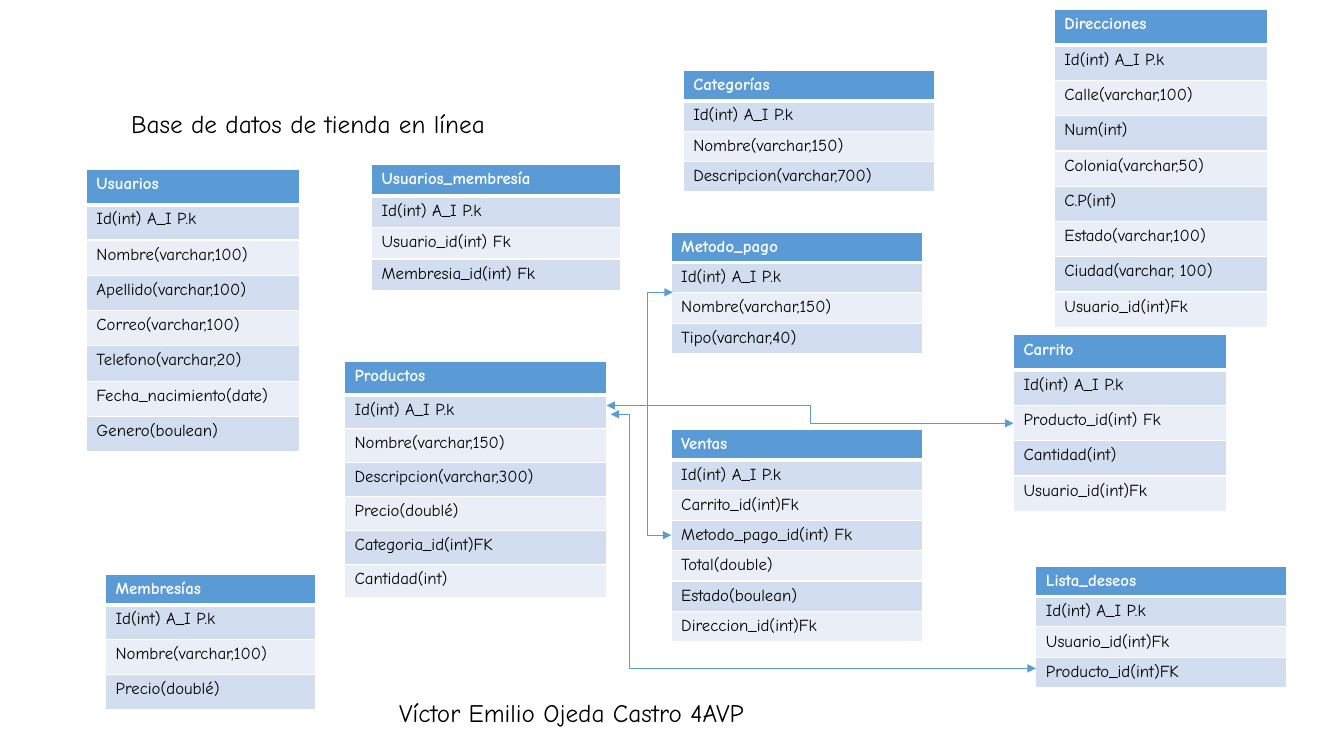
from lxml.etree import SubElement
from pptx import Presentation
from pptx.dml.color import RGBColor
from pptx.enum.shapes import MSO_CONNECTOR
from pptx.enum.text import MSO_ANCHOR, MSO_AUTO_SIZE, PP_ALIGN
from pptx.oxml.ns import qn
from pptx.util import Pt

BLUE = RGBColor(0x5B, 0x9B, 0xD5)
DARK_BAND = RGBColor(0xD2, 0xDE, 0xEF)
LIGHT_BAND = RGBColor(0xEA, 0xEF, 0xF7)
WHITE = RGBColor(0xFF, 0xFF, 0xFF)
BLACK = RGBColor(0x00, 0x00, 0x00)

KEY_FIELD = "Id(int) A_I P.k"

# name, left, top, width, header height, row height, fields after the key
ENTITIES = [
    ("Categorías", 488, 50.4, 179.3, 21.6, 21.6,
     ["Nombre(varchar,150)", "Descripcion(varchar,700)"]),
    ("Usuarios", 61.7, 121, 152.4, 25.2, 25.2,
     ["Nombre(varchar,100)", "Apellido(varchar,100)", "Correo(varchar,100)",
      "Telefono(varchar,20)", "Fecha_nacimiento(date)", "Genero(boulean)"]),
    ("Membresías", 75.4, 410.3, 149.8, 21, 25,
     ["Nombre(varchar,100)", "Precio(doublé)"]),
    ("Usuarios_membresía", 265.4, 117.6, 177.8, 22.5, 22.5,
     ["Usuario_id(int) Fk", "Membresia_id(int) Fk"]),
    ("Productos", 246.1, 257.9, 187.2, 24.2, 24.2,
     ["Nombre(varchar,150)", "Descripcion(varchar,300)", "Precio(doublé)",
      "Categoria_id(int)FK", "Cantidad(int)"]),
    ("Ventas", 479.4, 306.9, 179.3, 21.6, 21.6,
     ["Carrito_id(int)Fk", "Metodo_pago_id(int) Fk", "Total(double)",
      "Estado(boulean)", "Direccion_id(int)Fk"]),
    ("Metodo_pago", 479.4, 165.9, 179.3, 21.6, 21.6,
     ["Nombre(varchar,150)", "Tipo(varchar,40)"]),
    ("Direcciones", 753.1, 7, 152.6, 25.2, 25.2,
     ["Calle(varchar,100)", "Num(int)", "Colonia(varchar,50)", "C.P(int)",
      "Estado(varchar,100)", "Ciudad(varchar, 100)", "Usuario_id(int)Fk"]),
    ("Carrito", 723.9, 239.2, 152.6, 25.2, 25.2,
     ["Producto_id(int) Fk", "Cantidad(int)", "Usuario_id(int)Fk"]),
    ("Lista_deseos", 739.9, 404.5, 179.3, 21.6, 21.6,
     ["Usuario_id(int)Fk", "Producto_id(int)FK"]),
]

# begin x, begin y, end x, end y, x of the vertical stretch
RELATIONS = [
    (436.3, 295.9, 739.9, 477.4, 449.7),
    (480.5, 208.8, 479.5, 382.3, 462.5),
    (723.9, 302.4, 433.4, 289.7, 578.9),
]


class DiagramSlide:
    font_name = "Comic Neue"
    text_size = 12
    heading_size = 18

    def __init__(self, slide):
        self.slide = slide

    def style_text(self, text_frame, size, color, bold=False):
        for paragraph in text_frame.paragraphs:
            paragraph.alignment = PP_ALIGN.LEFT
            for run in paragraph.runs:
                run.font.name = self.font_name
                run.font.size = Pt(size)
                run.font.bold = bold
                run.font.color.rgb = color

    def heading(self, shape, text, left, top, width, height):
        shape.left, shape.top = Pt(left), Pt(top)
        shape.width, shape.height = Pt(width), Pt(height)
        text_frame = shape.text_frame
        text_frame.text = text
        text_frame.word_wrap = True
        text_frame.auto_size = MSO_AUTO_SIZE.SHAPE_TO_FIT_TEXT
        text_frame.vertical_anchor = MSO_ANCHOR.TOP
        self.style_text(text_frame, self.heading_size, BLACK)

    def title(self, text, *box):
        self.heading(self.slide.shapes.title, text, *box)

    def text_box(self, text, *box):
        shape = self.slide.shapes.add_textbox(*map(Pt, box))
        self.heading(shape, text, *box)

    def cell_borders(self, cell, top, bottom):
        properties = cell._tc.get_or_add_tcPr()
        for side, width in (("L", 1), ("R", 1), ("T", top), ("B", bottom)):
            line = SubElement(properties, qn(f"a:ln{side}"), w=str(Pt(width)))
            fill = SubElement(line, qn("a:solidFill"))
            SubElement(fill, qn("a:srgbClr"), val=str(WHITE))

    def entity(self, name, left, top, width, header_height, row_height, fields):
        """Draw a one-column table: name, key field, then the other fields."""
        texts = [name, KEY_FIELD, *fields]
        height = header_height + row_height * (len(texts) - 1)
        table = self.slide.shapes.add_table(
            len(texts), 1, Pt(left), Pt(top), Pt(width), Pt(height)).table
        for index, text in enumerate(texts):
            is_header = index == 0
            table.rows[index].height = Pt(header_height if is_header else row_height)
            cell = table.cell(index, 0)
            cell.text_frame.text = text
            self.style_text(cell.text_frame, self.text_size,
                            WHITE if is_header else BLACK, is_header)
            self.cell_borders(cell, 3 if index == 1 else 1, 3 if is_header else 1)
            cell.fill.solid()
            band = DARK_BAND if index % 2 else LIGHT_BAND
            cell.fill.fore_color.rgb = BLUE if is_header else band

    def relation(self, begin_x, begin_y, end_x, end_y, bend_x):
        """Draw a double-headed elbow line that turns at bend_x."""
        connector = self.slide.shapes.add_connector(
            MSO_CONNECTOR.ELBOW, Pt(begin_x), Pt(begin_y), Pt(end_x), Pt(end_y))
        connector.line.color.rgb = BLUE
        connector.line.width = Pt(0.5)
        properties = connector.element.spPr
        bend = round((bend_x - begin_x) / (end_x - begin_x) * 100000)
        guides = properties.find(qn("a:prstGeom")).get_or_add_avLst()
        SubElement(guides, qn("a:gd"), name="adj1", fmla=f"val {bend}")
        line = properties.find(qn("a:ln"))
        for end in ("a:headEnd", "a:tailEnd"):
            SubElement(line, qn(end), type="triangle")
        SubElement(properties, qn("a:effectLst"))


def main():
    presentation = Presentation()
    presentation.slide_width, presentation.slide_height = Pt(960), Pt(540)
    title_only = presentation.slide_layouts[5]
    diagram = DiagramSlide(presentation.slides.add_slide(title_only))
    diagram.title("Base de datos de tienda en línea", 86.4, 73.9, 713.5, 29)
    for entity in ENTITIES:
        diagram.entity(*entity)
    for relation in RELATIONS:
        diagram.relation(*relation)
    diagram.text_box("Víctor Emilio Ojeda Castro 4AVP", 278, 494.7, 291.6, 29)
    presentation.save("out.pptx")


if __name__ == "__main__":
    main()
